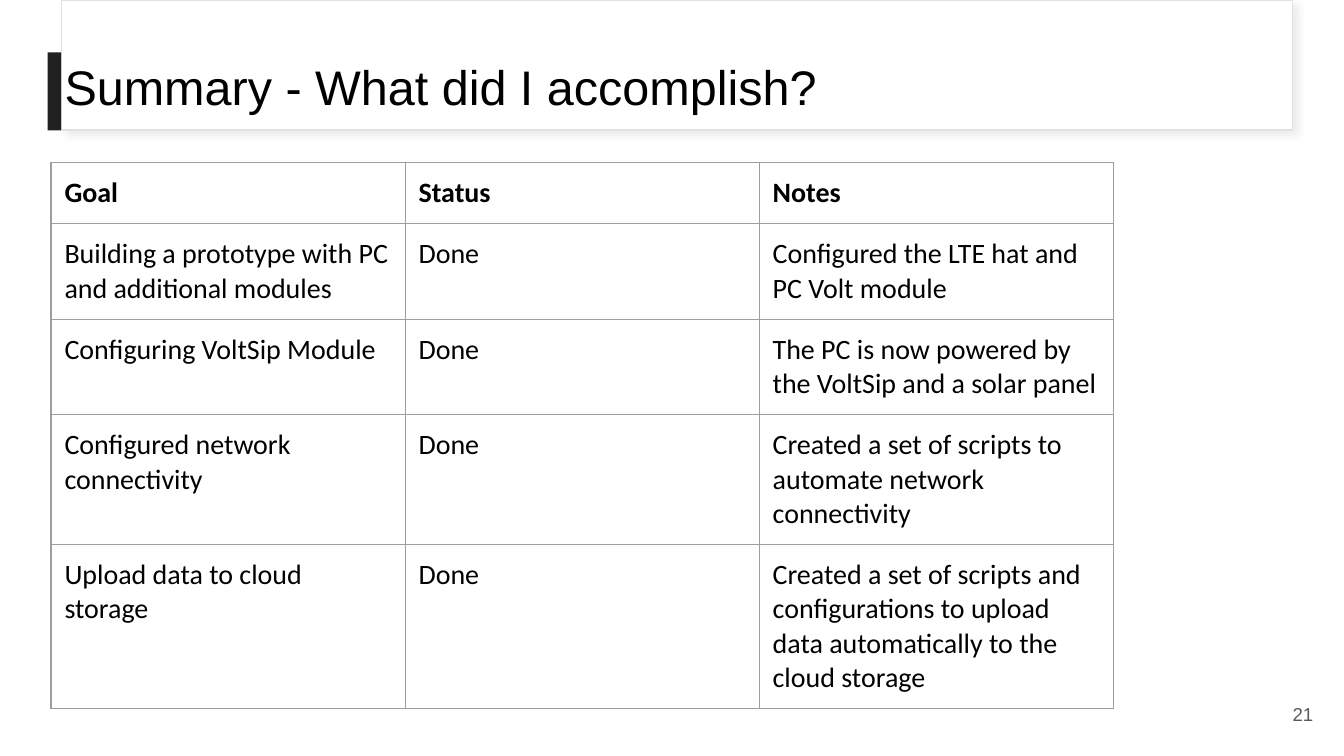
"""Build the project summary slide with its table of goals."""
from dataclasses import dataclass

from lxml import etree
from pptx import Presentation, util as u
from pptx.dml.color import RGBColor
from pptx.enum import shapes, text
from pptx.oxml import parse_xml
from pptx.oxml.ns import nsdecls, qn

WIDTH = u.Inches(10)
HEIGHT = WIDTH * 9 // 16
INSET = u.Inches(0.1)
BLACK, GREY = "000000", "595959"


@dataclass(frozen=True)
class Area:
    left: float
    top: float
    width: float
    height: float

    def emu(self) -> tuple[int, int, int, int]:
        return (across(self.left), down(self.top), across(self.width), down(self.height))


@dataclass(frozen=True)
class Style:
    size: float
    font: str
    color: str = BLACK
    bold: bool = False


@dataclass(frozen=True)
class Goal:
    name: str
    status: str
    notes: str


TITLE = Area(3.8, 6.58, 93.2, 11.2)
BANNER = Area(4.6, 0, 91.6, 17.2)
ACCENT = Area(3.55, 6.93, 1, 10.31)
NUMBER = Area(92.7, 90.67, 6, 7.64)
TABLE = Area(3.8, 21.5, 79.05, 37.33)

GOALS = [
    Goal("Goal", "Status", "Notes"),
    Goal("Building a prototype with PC and additional modules", "Done",
         "Configured the LTE hat and PC Volt module"),
    Goal("Configuring VoltSip Module", "Done",
         "The PC is now powered by the VoltSip and a solar panel"),
    Goal("Configured network connectivity", "Done",
         "Created a set of scripts to automate network connectivity"),
    Goal("Upload data to cloud storage", "Done",
         "Created a set of scripts and configurations to upload data "
         "automatically to the cloud storage"),
]


def across(percent: float) -> int:
    return round(WIDTH * percent / 100)


def down(percent: float) -> int:
    return round(HEIGHT * percent / 100)


def rgb(color: str) -> RGBColor:
    return RGBColor.from_string(color)


def write(frame, words: str, style: Style, align=text.PP_ALIGN.LEFT):
    frame.word_wrap = True
    para = frame.paragraphs[0]
    para.alignment = align
    span = para.add_run()
    span.text = words
    span.font.size, span.font.name = u.Pt(style.size), style.font
    span.font.bold, span.font.color.rgb = style.bold, rgb(style.color)
    return para


def set_insets(holder) -> None:
    holder.margin_left = holder.margin_right = INSET
    holder.margin_top = holder.margin_bottom = INSET


def add_block(page, area: Area, fill: str, line: str | None = None):
    block = page.shapes.add_shape(shapes.MSO_SHAPE.RECTANGLE, *area.emu())
    block.shadow.inherit = False
    block.fill.solid()
    block.fill.fore_color.rgb = rgb(fill)
    if line:
        block.line.color.rgb, block.line.width = rgb(line), u.Pt(0.75)
    else:
        block.line.fill.background()
    return block


def add_shadow(block) -> None:
    effects = block._element.spPr.find(qn("a:effectLst"))
    effects.append(parse_xml(
        f'<a:outerShdw {nsdecls("a")} blurRad="{u.Pt(4)}" dist="{u.Pt(3)}" '
        'dir="2700000" algn="tl" rotWithShape="0"><a:srgbClr val="D8D8D8">'
        '<a:alpha val="49000"/></a:srgbClr></a:outerShdw>'))


def add_borders(cell, color: str) -> None:
    props = cell._tc.get_or_add_tcPr()
    for index, side in enumerate(("lnL", "lnR", "lnT", "lnB")):
        line = etree.Element(qn(f"a:{side}"), w=str(u.Pt(0.75)))
        fill = etree.SubElement(line, qn("a:solidFill"))
        etree.SubElement(fill, qn("a:srgbClr"), val=color)
        props.insert(index, line)


def add_goals(page, area: Area, goals: list[Goal]) -> None:
    table = page.shapes.add_table(len(goals), 3, *area.emu()).table
    table.first_row = table.horz_banding = False
    for row, goal in enumerate(goals):
        style = Style(15, "Calibri", bold=row == 0)
        for column, words in enumerate((goal.name, goal.status, goal.notes)):
            cell = table.cell(row, column)
            set_insets(cell)
            cell.fill.background()
            add_borders(cell, "9E9E9E")
            write(cell.text_frame, words, style)


def add_number(page, area: Area, number: str) -> None:
    frame = page.shapes.add_textbox(*area.emu()).text_frame
    set_insets(frame)
    frame.vertical_anchor = text.MSO_ANCHOR.MIDDLE
    write(frame, number, Style(10, "Arial", GREY), text.PP_ALIGN.RIGHT)


def place_title(page, area: Area, words: str) -> None:
    title = page.shapes.title
    title.left, title.top, title.width, title.height = area.emu()
    frame = title.text_frame
    set_insets(frame)
    frame.vertical_anchor = text.MSO_ANCHOR.TOP
    frame.auto_size = text.MSO_AUTO_SIZE.NONE
    write(frame, words, Style(26, "Arial")).line_spacing = 0.9
    page.shapes._spTree.append(title._element)


def main() -> None:
    deck = Presentation()
    deck.slide_width, deck.slide_height = WIDTH, HEIGHT
    page = deck.slides.add_slide(deck.slide_layouts.get_by_name("Title Only"))
    add_goals(page, TABLE, GOALS)
    add_number(page, NUMBER, "21")
    add_shadow(add_block(page, BANNER, "FFFFFF", "E1E1E1"))
    add_block(page, ACCENT, "212121")
    place_title(page, TITLE, "Summary - What did I accomplish?")
    deck.save("out.pptx")


if __name__ == "__main__":
    main()
